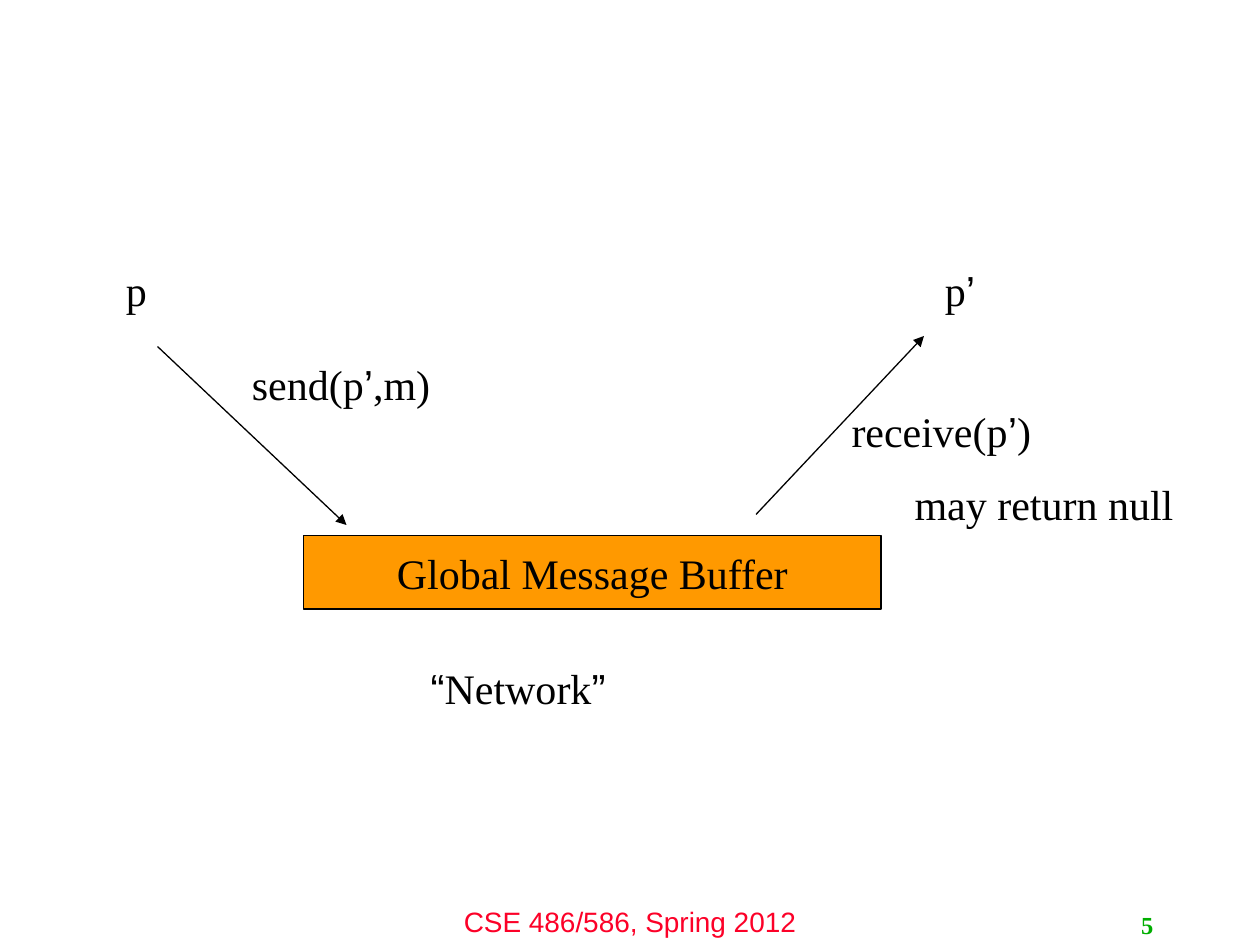
from lxml.etree import SubElement as Sub
from pptx import Presentation as Deck
from pptx.dml.color import RGBColor as RGB
from pptx.enum.shapes import MSO_CONNECTOR as Conn, MSO_SHAPE as Shape
from pptx.enum.text import MSO_ANCHOR as Anchor, PP_ALIGN as Align
from pptx.oxml.ns import qn
from pptx.util import Pt

BLACK = RGB(0, 0, 0)
ORANGE = RGB(0xFF, 0x99, 0)
RED = RGB(0xFC, 0x01, 0x28)
GREEN = RGB(0, 0xAE, 0)
SERIF, SANS = "Times New Roman", "Arial"
QUOTES = "\u2019\u201c\u201d"

BODY = {"size": Pt(24), "name": SERIF}
FOOT = {"size": Pt(16), "name": SANS}
PAGE = {"size": Pt(14), "name": SERIF, "bold": True}

LABELS = [
    (["p"], (64.8, 147.6, 26.6, 36)),
    (["p’"], (532.8, 147.6, 34.6, 36)),
    (["send(p’,m)"], (136.8, 201.6, 118.8, 36)),
    (["receive(p’)", "\tmay return null"], (479.5, 228.2, 234, 64.8)),
    (["“Network”"], (239, 375.1, 119.5, 36)),
]
BUFFER = (["Global Message Buffer"], (173.5, 306, 330, 42))
ARROWS = [((90, 198), (198, 300)), ((432, 294), (528, 192))]
FOOTER = (["CSE 486/586, Spring 2012"], (240, 513.4, 240, 26.6))
NUMBER = (["5"], (516.2, 517, 150, 23))


def split(line):
    parts = []
    for char in line:
        quote = char in QUOTES
        if parts and parts[-1][1] == quote:
            parts[-1][0] += char
        else:
            parts.append([char, quote])
    return parts


def write(shape, lines, look, color=BLACK, align=Align.LEFT,
          anchor=Anchor.TOP, wrap=True):
    frame = shape.text_frame
    frame.word_wrap = wrap
    frame.vertical_anchor = anchor
    for i, line in enumerate(lines):
        para = frame.add_paragraph() if i else frame.paragraphs[0]
        para.alignment = align
        para.space_before = Pt(13 if i else 0)
        for text, quote in split(line):
            run = para.add_run()
            run.text = text
            for key, value in look.items():
                setattr(run.font, key, value)
            if quote:
                run.font.name = SANS
            run.font.color.rgb = color


def label(item, look=BODY, **opts):
    lines, box = item
    write(slide.shapes.add_textbox(*map(Pt, box)), lines, look, **opts)


def arrow(start, end):
    line = slide.shapes.add_connector(
        Conn.STRAIGHT, *map(Pt, start + end))
    line.line.color.rgb = BLACK
    line.line.width = Pt(0.75)
    Sub(line.line._get_or_add_ln(), qn("a:tailEnd"), type="triangle")
    Sub(line._element.spPr, qn("a:effectLst"))


deck = Deck()
deck.slide_width, deck.slide_height = Pt(720), Pt(540)
slide = deck.slides.add_slide(deck.slide_layouts[6])

label(FOOTER, FOOT, color=RED, align=Align.CENTER)

lines, box = BUFFER
rect = slide.shapes.add_shape(Shape.RECTANGLE, *map(Pt, box))
rect.shadow.inherit = False
rect.fill.solid()
rect.fill.fore_color.rgb = ORANGE
rect.line.color.rgb = BLACK
rect.line.width = Pt(0.75)
write(rect, lines, BODY, align=Align.CENTER, anchor=Anchor.MIDDLE)

for start, end in ARROWS:
    arrow(start, end)
for item in LABELS:
    label(item, wrap=False)
label(NUMBER, PAGE, color=GREEN, align=Align.RIGHT, anchor=Anchor.MIDDLE)

deck.save("out.pptx")
